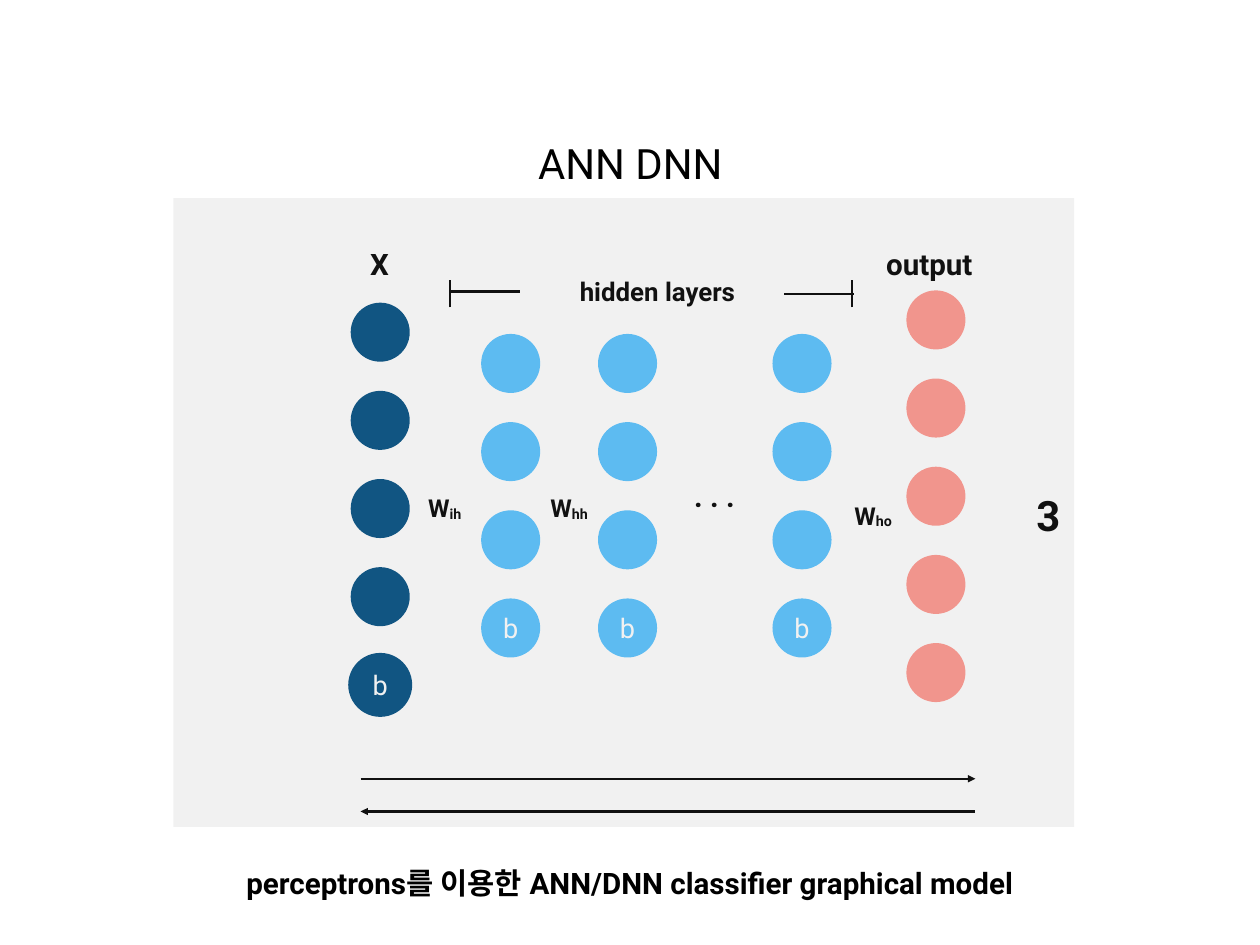
import pptx
import pptx.dml.color
import pptx.enum.shapes
import pptx.enum.text
import pptx.oxml.ns
import pptx.util
from lxml import etree

Pt = pptx.util.Pt
qn = pptx.oxml.ns.qn
FONT = "Roboto"
INK, WHITE, PANEL = "000000", "FFFFFF", "929292"
INPUT, HIDDEN, OUTPUT = "004D80", "56C1FF", "FF968D"
NODE_SIZE, NODE_PITCH = 48, 71.65


def color(value):
    return pptx.dml.color.RGBColor.from_string(value)


def set_values(target, values):
    for name, value in values.items():
        setattr(target, name, value)


def write(shape, runs, size, ink=INK, bold=False, **frame_values):
    """Fill a shape with one centred paragraph; runs are (text, baseline) pairs."""
    frame = shape.text_frame
    margins = dict.fromkeys(
        ("margin_left", "margin_top", "margin_right", "margin_bottom"), Pt(4))
    set_values(frame, {
        **margins,
        "vertical_anchor": pptx.enum.text.MSO_ANCHOR.MIDDLE,
        **frame_values,
    })
    paragraph = frame.paragraphs[0]
    paragraph.alignment = pptx.enum.text.PP_ALIGN.CENTER
    for text, baseline in runs:
        run = paragraph.add_run()
        run.text = text
        set_values(run.font, {"name": FONT, "size": Pt(size), "bold": bold})
        run.font.color.rgb = color(ink)
        properties = run._r.get_or_add_rPr()
        etree.SubElement(properties, qn("a:ea")).set("typeface", FONT)
        if baseline:
            properties.set("baseline", str(baseline))


def add_label(slide, box, text, size, bold=True, subscript="", wrap=False):
    label = slide.shapes.add_textbox(*map(Pt, box))
    runs = [(text, 0)] + ([(subscript, -6000)] if subscript else [])
    write(label, runs, size, bold=bold, word_wrap=wrap,
          auto_size=pptx.enum.text.MSO_AUTO_SIZE.SHAPE_TO_FIT_TEXT)


def add_line(slide, start, end, arrow=None):
    """Draw a line; arrow is headEnd (at start) or tailEnd (at end)."""
    line = slide.shapes.add_connector(
        pptx.enum.shapes.MSO_CONNECTOR.STRAIGHT, *map(Pt, (*start, *end)))
    line.line.color.rgb = color(INK)
    line.line.width = Pt(2)
    if arrow:
        etree.SubElement(line.line._get_or_add_ln(), qn(f"a:{arrow}")).set("type", "triangle")
    etree.SubElement(line._element.spPr, qn("a:effectLst"))


def add_filled(slide, kind, box, fill):
    shape = slide.shapes.add_shape(kind, *map(Pt, box))
    shape.shadow.inherit = False
    shape.fill.solid()
    shape.fill.fore_color.rgb = color(fill)
    shape.line.fill.background()
    return shape


def add_layer(slide, left, top, count, fill, bias=False, outline=False):
    """Stack a column of nodes; the last may be the bias node."""
    for row in range(count):
        node = add_filled(slide, pptx.enum.shapes.MSO_SHAPE.OVAL,
                          (left, top + row * NODE_PITCH, NODE_SIZE, NODE_SIZE), fill)
    if bias:
        write(node, [("b", 0)], 22, WHITE)
    if outline:
        node.line.color.rgb = color(fill)
        node.line.width = Pt(4)


def add_network(slide, left, top, width, height):
    # Layers of nodes
    add_layer(slide, left + 144, top + 85, 5, INPUT, bias=True, outline=True)
    for offset in (250, 345, 486.8):
        add_layer(slide, left + offset, top + 110.4, 4, HIDDEN, bias=True)
    add_layer(slide, left + 595.6, top + 75, 5, OUTPUT)

    # Layer names and step number
    for x, y, w, h, text, size in (
        (155, 35, 25, 36, "X", 24),
        (572.5, 35, 83.5, 36, "output", 24),
        (322, 59.3, 142.6, 33, "hidden layers", 21),
        (418.4, 224, 42.5, 36, ". . .", 24),
        (697, 233.6, 28, 48, "3", 34),
    ):
        add_label(slide, (left + x, top + y, w, h), text, size)

    # Weights between layers
    for x, y, w, subscript in (
        (201, 235.7, 39, "ih"), (299.6, 235.7, 44, "hh"), (546.6, 241.5, 44, "ho"),
    ):
        add_label(slide, (left + x, top + y, w, 32.4), "W", 20, subscript=subscript)

    # Brackets around the hidden layers, then forward and backward arrows
    for x1, y1, x2, y2, arrow in (
        (224.8, 88.8, 224.8, 66.5, None),
        (224.8, 75.9, 281.6, 75.9, None),
        (551.6, 88.8, 551.6, 66.5, None),
        (496.2, 78, 553, 78, None),
        (152, 471.9, 651.7, 471.9, "tailEnd"),
        (152, 498.5, 651.7, 498.5, "headEnd"),
    ):
        add_line(slide, (left + x1, top + y1), (left + x2, top + y2), arrow)

    # Translucent panel over the whole network
    panel = add_filled(slide, pptx.enum.shapes.MSO_SHAPE.RECTANGLE,
                       (left, top, width, height), PANEL)
    shade = panel._element.spPr.find(qn("a:solidFill"))[0]
    etree.SubElement(shade, qn("a:alpha")).set("val", "12000")


def main():
    presentation = pptx.Presentation()
    set_values(presentation, {"slide_width": Pt(1024), "slide_height": Pt(768)})
    slide = presentation.slides.add_slide(presentation.slide_layouts[6])
    slide.background.fill.solid()
    slide.background.fill.fore_color.rgb = color(WHITE)

    # Title, caption and network
    add_label(slide, (310.3, 108, 404, 48), "ANN DNN", 34, bold=False, wrap=True)
    add_label(slide, (182, 698.4, 659.5, 38),
              "perceptrons를 이용한 ANN/DNN classifier graphical model", 24)
    add_network(slide, 141, 161, 732, 511)
    presentation.save("out.pptx")


if __name__ == "__main__":
    main()
